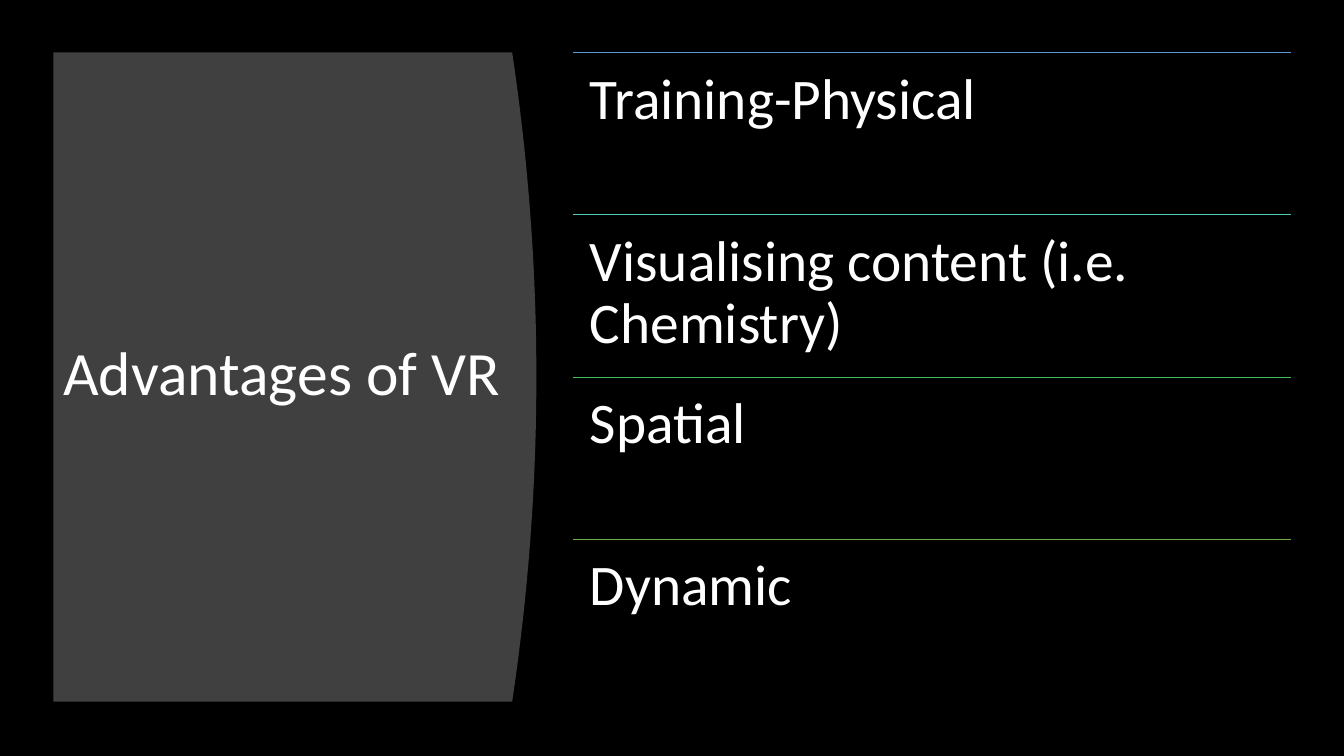
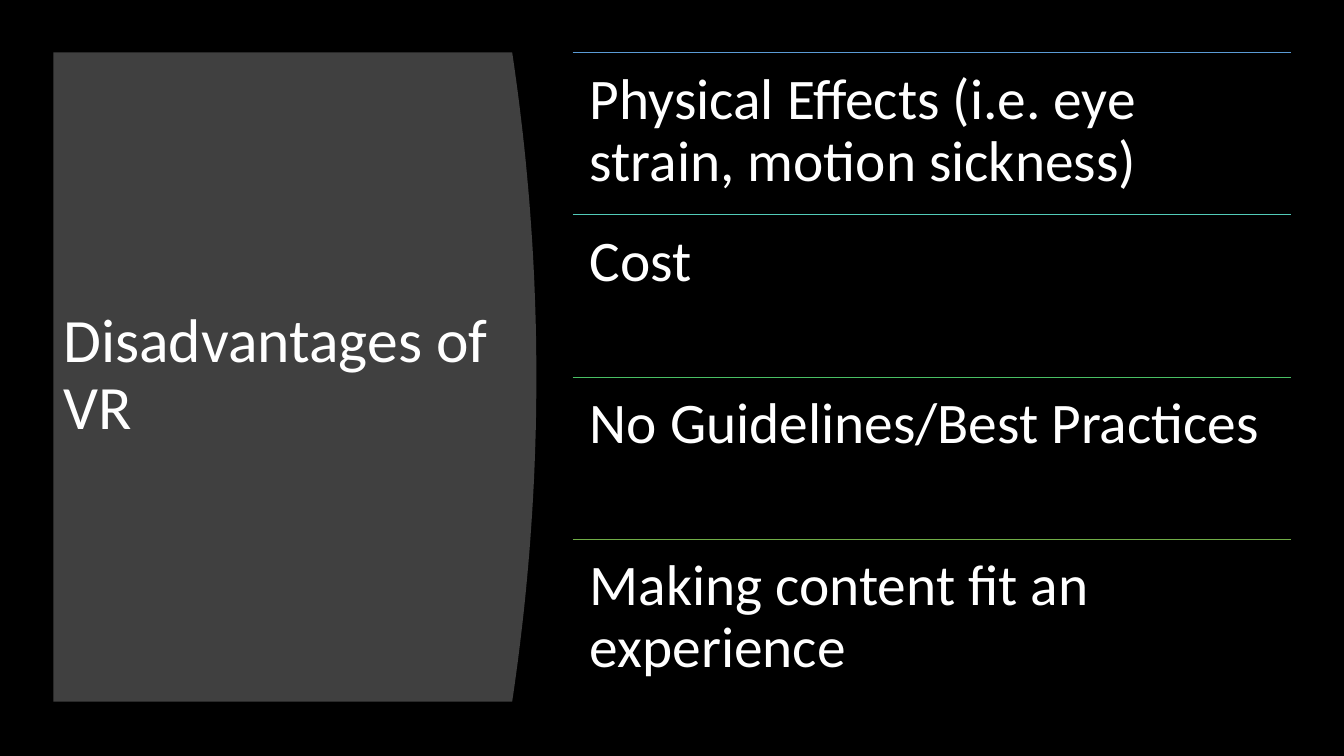
from dataclasses import dataclass

from pptx import Presentation
from pptx.dml.color import RGBColor
from pptx.enum.shapes import MSO_CONNECTOR
from pptx.enum.text import MSO_ANCHOR
from pptx.oxml.ns import qn
from pptx.util import Inches, Pt


@dataclass(frozen=True)
class Theme:
    background: str = "000000"
    panel: str = "404040"
    text: str = "FFFFFF"
    rules: tuple = ("5B9BD5", "52CAB8", "49BF64", "70AD47")
    font: str = "Calibri"
    title_size: int = 44
    item_size: int = 41


THEME = Theme()
TOP, HEIGHT = 0.52, 6.44
PANEL_LEFT, PANEL_EDGE, PANEL_BULGE = 0.53, 5.08, 0.24
CURVE_STEPS = 48
LIST_LEFT, LIST_WIDTH = 5.68, 7.12
ITEM_INSET = 0.17

SLIDES = [
    ("Advantages of VR", [
        "Training-Physical",
        "Visualising content (i.e. Chemistry)",
        "Spatial",
        "Dynamic",
    ]),
    ("Disadvantages of VR", [
        "Physical Effects (i.e. eye strain, motion sickness)",
        "Cost",
        "No Guidelines/Best Practices",
        "Making content fit an experience",
    ]),
]


def rgb(value):
    return RGBColor.from_string(value)


def add_text(s, text, left, top, width, height, size):
    """Add a wrapped one-paragraph box and return its text frame."""
    tf = s.shapes.add_textbox(Inches(left), Inches(top), Inches(width), Inches(height)).text_frame
    tf.word_wrap = True
    p = tf.paragraphs[0]
    p.text = text
    p.line_spacing = 0.9
    p.font.name = THEME.font
    p.font.size = Pt(size)
    p.font.color.rgb = rgb(THEME.text)
    return tf


# The panel's right edge is a shallow parabola, widest at mid-height.
panel_points = []
for i in range(CURVE_STEPS + 1):
    t = i / CURVE_STEPS
    x = PANEL_EDGE + PANEL_BULGE * (1 - (2 * t - 1) ** 2)
    panel_points.append((Inches(x), Inches(TOP + t * HEIGHT)))
panel_points.append((Inches(PANEL_LEFT), Inches(TOP + HEIGHT)))

prs = Presentation()
prs.slide_width, prs.slide_height = Inches(13.33), Inches(7.5)

for title, items in SLIDES:
    s = prs.slides.add_slide(prs.slide_layouts[6])
    s.background.fill.solid()
    s.background.fill.fore_color.rgb = rgb(THEME.background)

    builder = s.shapes.build_freeform(Inches(PANEL_LEFT), Inches(TOP))
    builder.add_line_segments(panel_points, close=True)
    panel = builder.convert_to_shape()
    panel.shadow.inherit = False
    panel.fill.solid()
    panel.fill.fore_color.rgb = rgb(THEME.panel)
    panel.line.fill.background()

    tf = add_text(s, title, PANEL_LEFT, 1.11, 5.01, 5.24, THEME.title_size)
    tf.vertical_anchor = MSO_ANCHOR.MIDDLE

    row_height = HEIGHT / len(items)
    for i, (item, color) in enumerate(zip(items, THEME.rules)):
        top = TOP + i * row_height
        rule = s.shapes.add_connector(
            MSO_CONNECTOR.STRAIGHT, Inches(LIST_LEFT), Inches(top),
            Inches(LIST_LEFT + LIST_WIDTH), Inches(top))
        rule.line.color.rgb = rgb(color)
        rule.line.width = Pt(0.5)
        rule._element.spPr.append(rule._element.spPr.makeelement(qn("a:effectLst"), {}))

        tf = add_text(s, item, LIST_LEFT, top, LIST_WIDTH, row_height, THEME.item_size)
        tf.margin_left = tf.margin_right = Inches(ITEM_INSET)
        tf.margin_top = tf.margin_bottom = Inches(ITEM_INSET)

prs.save("out.pptx")
